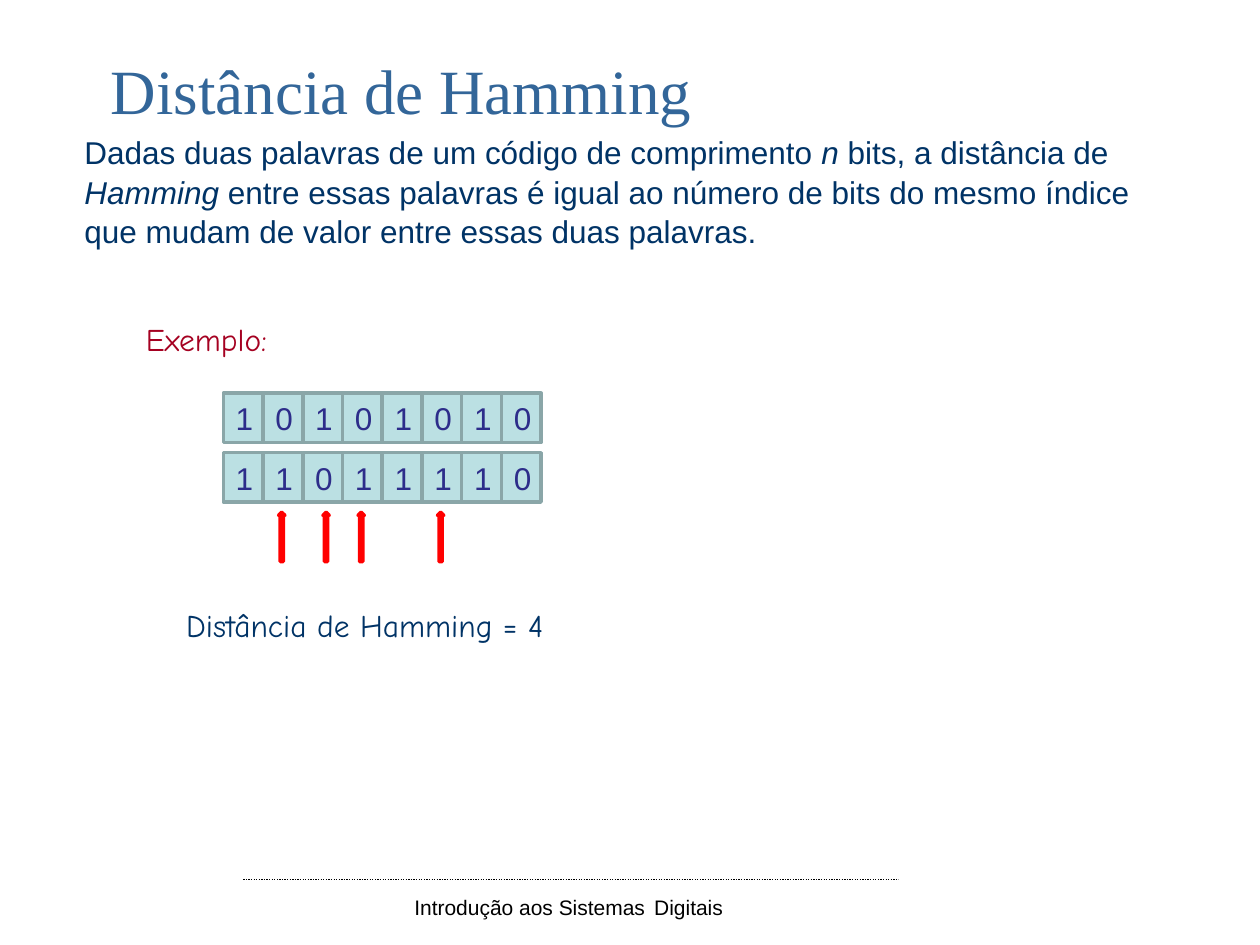
from lxml.etree import SubElement
from pptx import Presentation
from pptx.dml.color import RGBColor
from pptx.enum.dml import MSO_LINE
from pptx.enum.shapes import MSO_CONNECTOR, MSO_SHAPE
from pptx.enum.text import MSO_ANCHOR, MSO_AUTO_SIZE, PP_ALIGN
from pptx.oxml.ns import qn
from pptx.util import Pt

HUES = {
    "title": "336699", "text": "003366", "label": "A50021", "ink": "000000",
    "cell": "BBE0E3", "edge": "8AA6A8", "digit": "2D2D8A", "arrow": "FF0000",
}
FONTS = {
    "title": {"name": "Times New Roman", "size": Pt(36)},
    "text": {"name": "Arial", "size": Pt(18)},
    "note": {"name": "Comic Neue", "size": Pt(18)},
    "foot": {"name": "Arial", "size": Pt(12)},
}
FRAME = {"auto_size": MSO_AUTO_SIZE.NONE, "vertical_anchor": MSO_ANCHOR.TOP}
WORDS = ("10101010", "11011110")
PITCH, DROP, TALL = 22.7, 34, 28.2


def apply(item, values):
    for key, value in values.items():
        setattr(item, key, value)


def hue(name):
    return RGBColor.from_string(HUES[name])


def write(par, text, font, color, **extra):
    run = par.add_run()
    run.text = text
    apply(run.font, {**FONTS[font], **extra})
    run.font.color.rgb = hue(color)


def place(shape, box):
    apply(shape, dict(zip(("left", "top", "width", "height"), map(Pt, box))))


def draw(group, kind, box, fill, edge):
    shape = group.shapes.add_shape(kind, *map(Pt, box))
    shape.shadow.inherit = False
    shape.fill.solid()
    shape.fill.fore_color.rgb = hue(fill)
    shape.line.color.rgb = hue(edge)
    shape.line.width = Pt(2)
    return shape


def head(slide, box):
    shape = slide.shapes.title
    place(shape, box)
    apply(shape.text_frame, {**FRAME, "word_wrap": False, "margin_top": Pt(9)})
    par = shape.text_frame.paragraphs[0]
    par.alignment = PP_ALIGN.CENTER
    write(par, "Distância de Hamming", "title", "title")


def body(slide, box):
    shape = slide.placeholders[1]
    place(shape, box)
    apply(shape.text_frame, {**FRAME, "word_wrap": True})
    par = shape.text_frame.paragraphs[0]
    apply(par, {"line_spacing": 1.05, "space_before": Pt(0)})
    props = par._p.get_or_add_pPr()
    props.set("marL", "0")
    props.set("indent", "0")
    SubElement(props, qn("a:buNone"))
    parts = (
        "Dadas duas palavras de um código de comprimento ", "n",
        " bits, a distância de ", "Hamming",
        " entre essas palavras é igual ao número de bits do mesmo índice "
        "que mudam de valor entre essas duas palavras.",
    )
    for i, text in enumerate(parts):
        write(par, text, "text", "text", italic=i % 2 == 1)


def label(slide, box, color=None, text=None):
    shape = slide.shapes.add_textbox(*map(Pt, box))
    apply(shape.text_frame, {**FRAME, "word_wrap": False})
    par = shape.text_frame.paragraphs[0]
    if text:
        write(par, text, "note", color)
    return par


def row(slide, left, top, word):
    group = slide.shapes.add_group_shape()
    for i, bit in enumerate(word):
        box = (left + i * PITCH, top, PITCH, TALL)
        cell = draw(group, MSO_SHAPE.RECTANGLE, box, "cell", "edge")
        cell.text_frame.vertical_anchor = MSO_ANCHOR.MIDDLE
        par = cell.text_frame.paragraphs[0]
        par.alignment = PP_ALIGN.CENTER
        write(par, bit, "text", "digit")


def marks(slide, left, top):
    group = slide.shapes.add_group_shape()
    shift = {2: 2.6}
    for i, (old, new) in enumerate(zip(*WORDS)):
        if old != new:
            x = left + i * PITCH + 8.9 + shift.get(i, 0)
            draw(group, MSO_SHAPE.UP_ARROW, (x, top, 3.6, TALL), "cell", "arrow")


def sample(slide, left, top):
    label(slide, (left, top, 90.7, 28.8), "label", "Exemplo:")
    x, y = left + 51.3, top + 45.4
    for i, word in enumerate(WORDS):
        row(slide, x, y + i * DROP, word)
    marks(slide, x, y + len(WORDS) * DROP)
    box = (left + 23, top + 163.4, 231, 28.8)
    label(slide, box, "text", "Distância de Hamming = 4")


def foot(slide, left, top, width):
    ends = map(Pt, (left, top, left + width, top))
    rule = slide.shapes.add_connector(MSO_CONNECTOR.STRAIGHT, *ends)
    rule.line.color.rgb = hue("ink")
    apply(rule.line, {"width": Pt(0.75), "dash_style": MSO_LINE.ROUND_DOT})
    SubElement(rule._element.spPr, qn("a:effectLst"))
    par = label(slide, (left + 90.7, top - 0.7, 192.2, 28.8))
    write(par, "Introdução aos Sistemas", "foot", "ink")
    write(par, " ", "text", "ink")
    write(par, "Digitais", "foot", "ink")


deck = Presentation()
apply(deck, {"slide_width": Pt(720), "slide_height": Pt(540)})
page = deck.slides.add_slide(deck.slide_layouts[1])
foot(page, 139, 502.6, 374.4)
head(page, (36.7, 20.2, 385.2, 39.6))
body(page, (41, 71.3, 642.2, 72.7))
sample(page, 76.3, 179.3)
deck.save("out.pptx")
